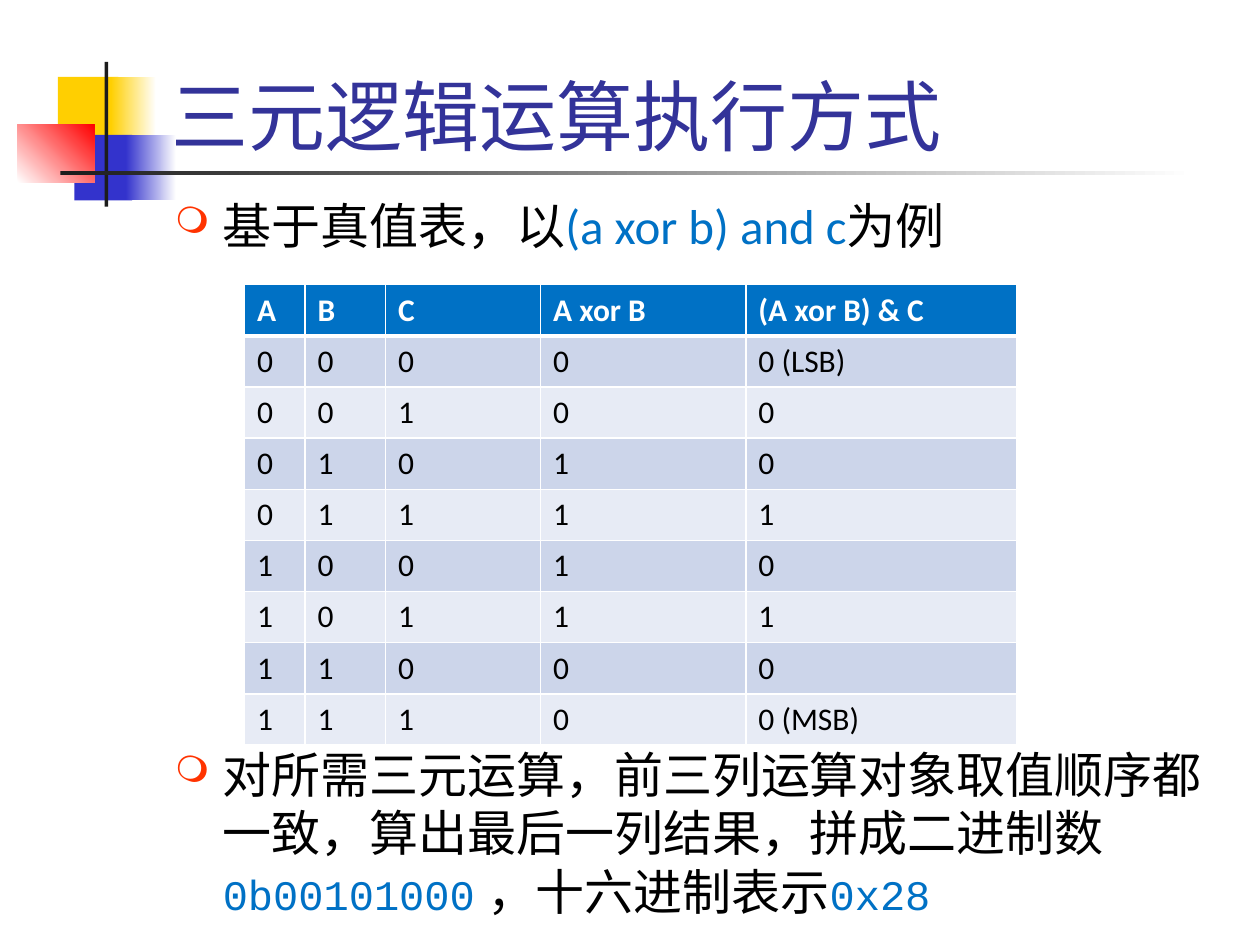
import pptx
import pptx.dml.color
import pptx.enum.shapes
import pptx.enum.text
import pptx.oxml
import pptx.oxml.ns
import pptx.util
from lxml import etree

WIDTH, HEIGHT = pptx.util.Inches(10), pptx.util.Inches(7.5)
COLS, ROWS = 1000, 750  # fine square grid that covers the slide

BLUE, INDIGO, YELLOW = "0071C5", "3333CC", "FFCF01"
BLACK, WHITE, DARK = "000000", "FFFFFF", "1C1C1C"
SERIF, SANS, MONO = "Times New Roman", "Calibri", "Courier New"

COLUMN_WIDTHS = [48, 64, 123, 163, 215]
ROW_HEIGHT = 40.6
HEADER = ["A", "B", "C", "A xor B", "(A xor B) & C"]


def rgb(value):
    return pptx.dml.color.RGBColor.from_string(value)


def grid(col, row, cols, rows):
    """Turn grid cells into left, top, width and height."""
    return (round(col * WIDTH / COLS), round(row * HEIGHT / ROWS),
            round(cols * WIDTH / COLS), round(rows * HEIGHT / ROWS))


def add_text(p, text, size=28, font=SERIF, color=BLACK, bold=False):
    r = p.add_run()
    r.text = text
    r.font.size = pptx.util.Pt(size)
    r.font.name = font
    r.font.bold = bold
    r.font.color.rgb = rgb(color)


def add_block(s, area, start, end=None, angle=0):
    """Add a borderless rectangle, plain or fading from start to end."""
    sp = s.shapes.add_shape(pptx.enum.shapes.MSO_SHAPE.RECTANGLE, *grid(*area))
    sp.shadow.inherit = False
    sp.line.fill.background()
    if end is None:
        sp.fill.solid()
        sp.fill.fore_color.rgb = rgb(start)
        return
    sp.fill.gradient()
    sp.fill.gradient_angle = angle
    for stop, color, position in zip(sp.fill.gradient_stops, (start, end), (0, 1)):
        stop.color.rgb = rgb(color)
        stop.position = position


def add_box(s, area, anchor):
    tf = s.shapes.add_textbox(*grid(*area)).text_frame
    tf.word_wrap = True
    tf.vertical_anchor = anchor
    return tf


def add_bullet(p):
    indent = pptx.util.Inches(0.38)
    pPr = p._p.get_or_add_pPr()
    pPr.set("marL", str(indent))
    pPr.set("indent", str(-indent))
    ns = pptx.oxml.ns.qn
    color = etree.SubElement(pPr, ns("a:buClr"))
    etree.SubElement(color, ns("a:srgbClr"), val="FF3300")
    etree.SubElement(pPr, ns("a:buSzPct"), val="75000")
    etree.SubElement(pPr, ns("a:buChar"), char="❍")


def set_borders(cell, **widths):
    """Draw white borders; widths are points for the sides L, R, T and B."""
    ns = pptx.oxml.ns.qn
    tcPr = cell._tc.get_or_add_tcPr()
    for side, width in widths.items():
        ln = etree.SubElement(tcPr, ns(f"a:ln{side}"), w=str(pptx.util.Pt(width)))
        fill = etree.SubElement(ln, ns("a:solidFill"))
        etree.SubElement(fill, ns("a:srgbClr"), val=WHITE)


def truth_rows():
    """List the eight rows, with the lowest and highest bits marked."""
    marks = {0: " (LSB)", 7: " (MSB)"}
    rows = []
    for n in range(8):
        a, b, c = n >> 2, n >> 1 & 1, n & 1
        rows.append([a, b, c, a ^ b, f"{(a ^ b) & c}{marks.get(n, '')}"])
    return rows


def add_truth_table(s, col, row):
    data = [HEADER] + truth_rows()
    area = grid(col, row, sum(COLUMN_WIDTHS), ROW_HEIGHT * len(data))
    table = s.shapes.add_table(len(data), len(HEADER), *area).table
    for column, width in zip(table.columns, COLUMN_WIDTHS):
        column.width = round(width * WIDTH / COLS)
    for i, values in enumerate(data):
        fill = BLUE if i == 0 else "CCD5EA" if i % 2 else "E7EBF5"
        for j, value in enumerate(values):
            cell = table.cell(i, j)
            set_borders(cell, L=1, R=1, T=3 if i == 1 else 1, B=3 if i == 0 else 1)
            cell.fill.solid()
            cell.fill.fore_color.rgb = rgb(fill)
            add_text(cell.text_frame.paragraphs[0], str(value), size=18, font=SANS,
                     color=WHITE if i == 0 else BLACK, bold=i == 0)


def add_ornament(s):
    add_block(s, (46, 61, 48, 52), YELLOW)
    add_block(s, (88, 61, 36, 52), YELLOW, WHITE)
    add_block(s, (59, 107, 46, 52), INDIGO)
    add_block(s, (100, 107, 40, 52), INDIGO, WHITE)
    add_block(s, (14, 99, 61, 46), WHITE, "FF0000", angle=45)
    add_block(s, (83, 49, 3, 115), DARK)
    add_block(s, (48, 136, 900, 3), DARK, WHITE)


def add_body(s):
    tf = add_box(s, (129, 150, 850, 517), pptx.enum.text.MSO_ANCHOR.TOP)
    p = tf.paragraphs[0]
    add_bullet(p)
    add_text(p, "基于真值表，以")
    add_text(p, "(a xor b) and c", font=SANS, color=BLUE)
    add_text(p, "为例")

    p = tf.add_paragraph()
    add_bullet(p)
    p.space_before = pptx.util.Pt(280)  # leaves room for the table
    add_text(p, "对所需三元运算，前三列运算对象取值顺序都一致，算出最后一列结果，拼成二进制数")
    add_text(p, "0b00101000", size=24, font=MONO, color=BLUE)
    add_text(p, " ，十六进制表示")
    add_text(p, "0x28", size=24, font=MONO, color=BLUE)


def main():
    prs = pptx.Presentation()
    prs.slide_width, prs.slide_height = WIDTH, HEIGHT
    s = prs.slides.add_slide(prs.slide_layouts[6])
    add_ornament(s)
    title = add_box(s, (126, 8, 852, 125), pptx.enum.text.MSO_ANCHOR.BOTTOM)
    add_text(title.paragraphs[0], "三元逻辑运算执行方式", size=44, color="333399")
    add_body(s)
    add_truth_table(s, 194, 226)
    prs.save("out.pptx")


if __name__ == "__main__":
    main()
